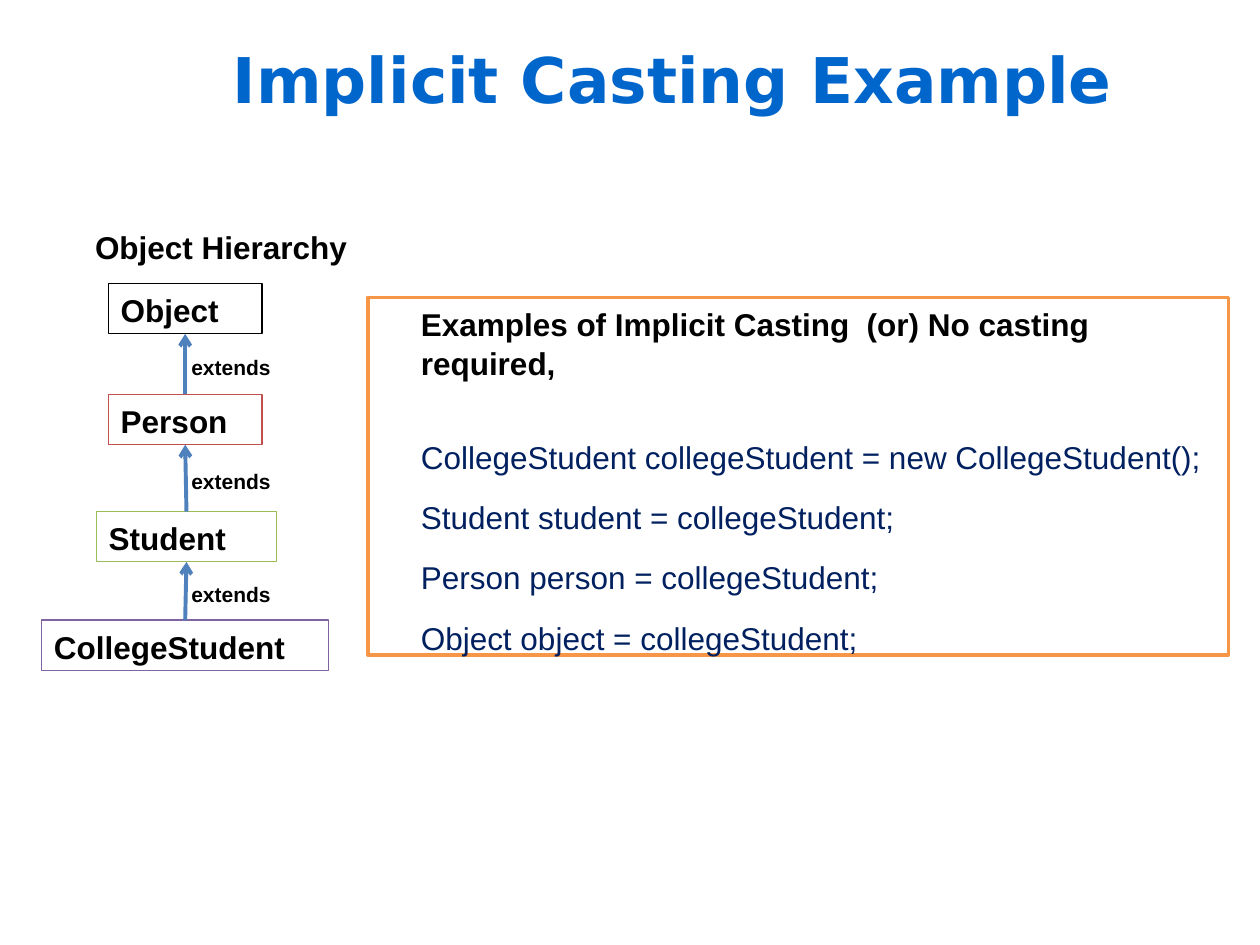
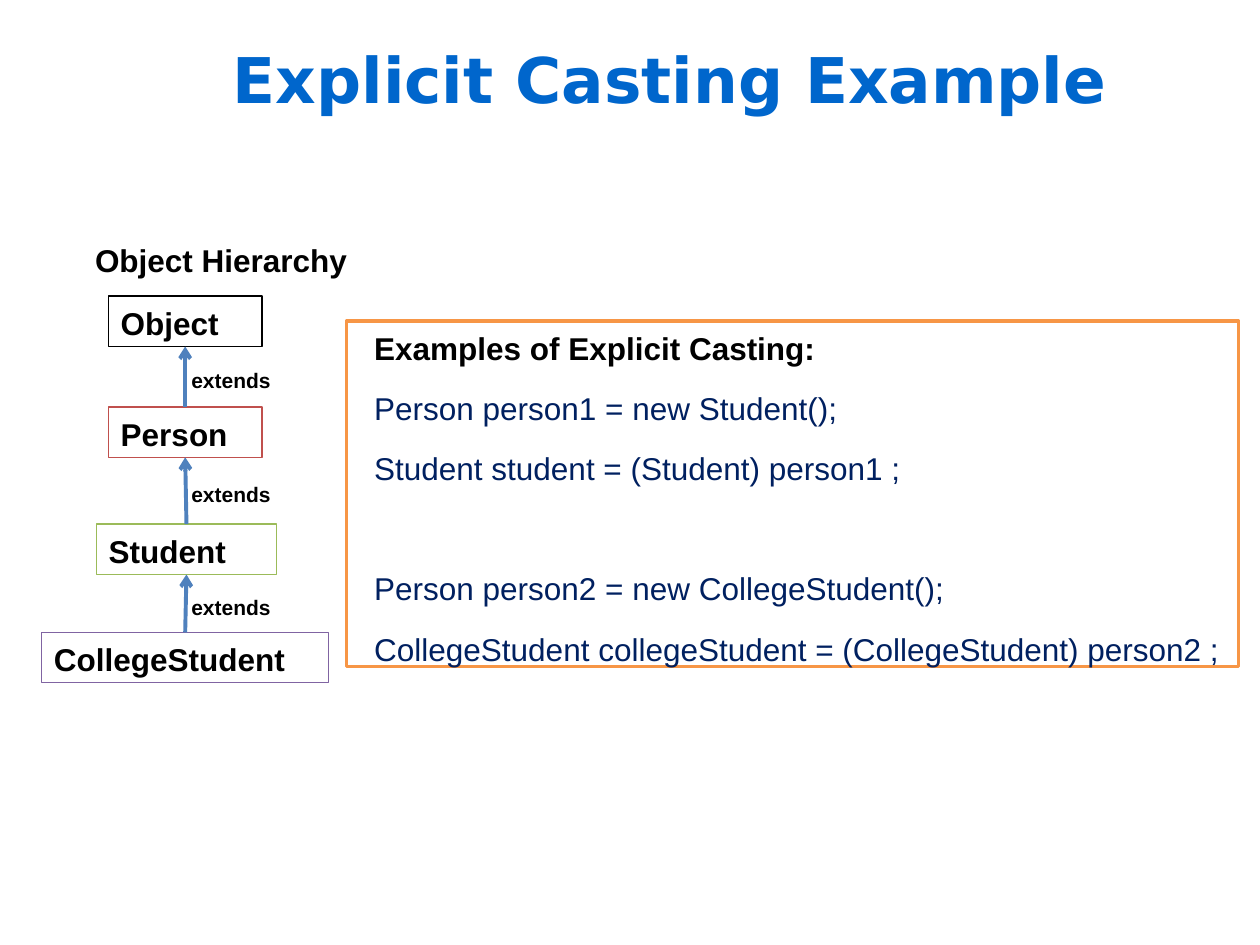
"""Build two slides that contrast implicit and explicit casting along a class hierarchy."""
from itertools import pairwise

from lxml import etree
from pptx import Presentation, util as u
from pptx.dml.color import RGBColor
from pptx.enum import shapes, text
from pptx.oxml import ns

BLACK = RGBColor(0x00, 0x00, 0x00)
WHITE = RGBColor(0xFF, 0xFF, 0xFF)
TITLE_BLUE = RGBColor(0x00, 0x66, 0xCC)
CODE_NAVY = RGBColor(0x00, 0x20, 0x60)
ARROW_BLUE = RGBColor(0x4F, 0x81, 0xBD)
RED = RGBColor(0xC0, 0x50, 0x4D)
GREEN = RGBColor(0x9B, 0xBB, 0x59)
PURPLE = RGBColor(0x80, 0x64, 0xA2)
ORANGE = RGBColor(0xF7, 0x96, 0x46)

BODY_FONT, TITLE_FONT = "Arial", "DejaVu Sans"
HEADING = "Object Hierarchy"
RELATION = "extends"
CLASS_HEIGHT, LABEL_HEIGHT = 0.4, 0.3
LINE_SPACING = 1.04

# name, centre, drop below the heading, width, outline
CLASSES = [
    ("Object", 1.47, 0.5, 1.22, BLACK),
    ("Person", 1.47, 1.38, 1.22, RED),
    ("Student", 1.48, 2.31, 1.43, GREEN),
    ("CollegeStudent", 1.47, 3.17, 2.28, PURPLE),
]

# each code line comes with the points of space before it
SLIDES = [
    {
        "title": "Implicit Casting Example",
        "heading_top": 1.75,
        "panel": (2.92, 2.36, 6.83, 2.84),
        "insets": (0.42, 0.1),
        "caption": "Examples of Implicit Casting  (or) No casting required,",
        "code": [
            ("CollegeStudent collegeStudent = new CollegeStudent();", 31),
            ("Student student = collegeStudent;", 12),
            ("Person person = collegeStudent;", 12),
            ("Object object = collegeStudent;", 12),
        ],
    },
    {
        "title": "Explicit Casting Example",
        "heading_top": 1.85,
        "panel": (2.75, 2.55, 7.08, 2.74),
        "insets": (0.22, 0.02),
        "caption": "Examples of Explicit Casting:",
        "code": [
            ("Person person1 = new Student();", 12),
            ("Student student = (Student) person1 ;", 12),
            ("Person person2 = new CollegeStudent();", 46),
            ("CollegeStudent collegeStudent = (CollegeStudent) person2 ;", 12),
        ],
    },
]


def inches(*lengths):
    return [u.Inches(length) for length in lengths]


def write(paragraph, words, size=18, color=BLACK, bold=True, font=BODY_FONT):
    paragraph.text = words
    paragraph.font.name = font
    paragraph.font.size = u.Pt(size)
    paragraph.font.bold = bold
    paragraph.font.color.rgb = color
    paragraph.line_spacing = LINE_SPACING if font == BODY_FONT else 1.0


def add_text(parent, place, words, align=text.PP_ALIGN.LEFT,
             anchor=text.MSO_ANCHOR.TOP, **style):
    box = parent.add_textbox(*inches(*place))
    box.text_frame.word_wrap = True
    box.text_frame.vertical_anchor = anchor
    paragraph = box.text_frame.paragraphs[0]
    write(paragraph, words, **style)
    paragraph.alignment = align


def add_frame(parent, place, outline, weight, words):
    box = parent.add_shape(shapes.MSO_SHAPE.RECTANGLE, *inches(*place))
    box.shadow.inherit = False
    box.fill.solid()
    box.fill.fore_color.rgb = WHITE
    box.line.color.rgb = outline
    box.line.width = u.Pt(weight)
    frame = box.text_frame
    frame.word_wrap = True
    frame.vertical_anchor = text.MSO_ANCHOR.TOP
    write(frame.paragraphs[0], words)
    frame.paragraphs[0].alignment = text.PP_ALIGN.LEFT
    return frame


def add_arrow(parent, start, end):
    arrow = parent.add_connector(shapes.MSO_CONNECTOR.STRAIGHT, *inches(*start, *end))
    arrow.line.color.rgb = ARROW_BLUE
    arrow.line.width = u.Pt(2.25)
    etree.SubElement(arrow.line._get_or_add_ln(), ns.qn("a:tailEnd"), type="arrow")
    etree.SubElement(arrow._element.spPr, ns.qn("a:effectLst"))


def add_hierarchy(page, top):
    add_text(page.shapes, (0.17, top, 3.17, 0.4), HEADING, text.PP_ALIGN.CENTER)
    tree = page.shapes.add_group_shape().shapes
    for name, centre, drop, width, outline in CLASSES:
        place = (centre - width / 2, top + drop, width, CLASS_HEIGHT)
        add_frame(tree, place, outline, 0.75, name)
    for (_, base_x, base_drop, *_), (_, child_x, child_drop, *_) in pairwise(CLASSES):
        base_bottom = top + base_drop + CLASS_HEIGHT
        child_top = top + child_drop
        add_arrow(tree, (child_x, child_top), (base_x, base_bottom))
        label_top = (base_bottom + child_top - LABEL_HEIGHT) / 2 + 0.02
        add_text(tree, (1.42, label_top, 0.92, LABEL_HEIGHT), RELATION, size=12)


def add_examples(page, content):
    frame = add_frame(page.shapes, content["panel"], ORANGE, 2, content["caption"])
    frame.margin_left, frame.margin_right = inches(*content["insets"])
    for line, gap in content["code"]:
        paragraph = frame.add_paragraph()
        write(paragraph, line, color=CODE_NAVY, bold=False)
        paragraph.alignment = text.PP_ALIGN.LEFT
        paragraph.space_before = u.Pt(gap)


def main():
    deck = Presentation()
    deck.slide_width, deck.slide_height = inches(10, 7.5)
    for content in SLIDES:
        page = deck.slides.add_slide(deck.slide_layouts[6])
        add_text(page.shapes, (1.75, 0, 8.25, 1.25), content["title"],
                 anchor=text.MSO_ANCHOR.MIDDLE, size=36, color=TITLE_BLUE, font=TITLE_FONT)
        add_hierarchy(page, content["heading_top"])
        add_examples(page, content)
    deck.save("out.pptx")


if __name__ == "__main__":
    main()
